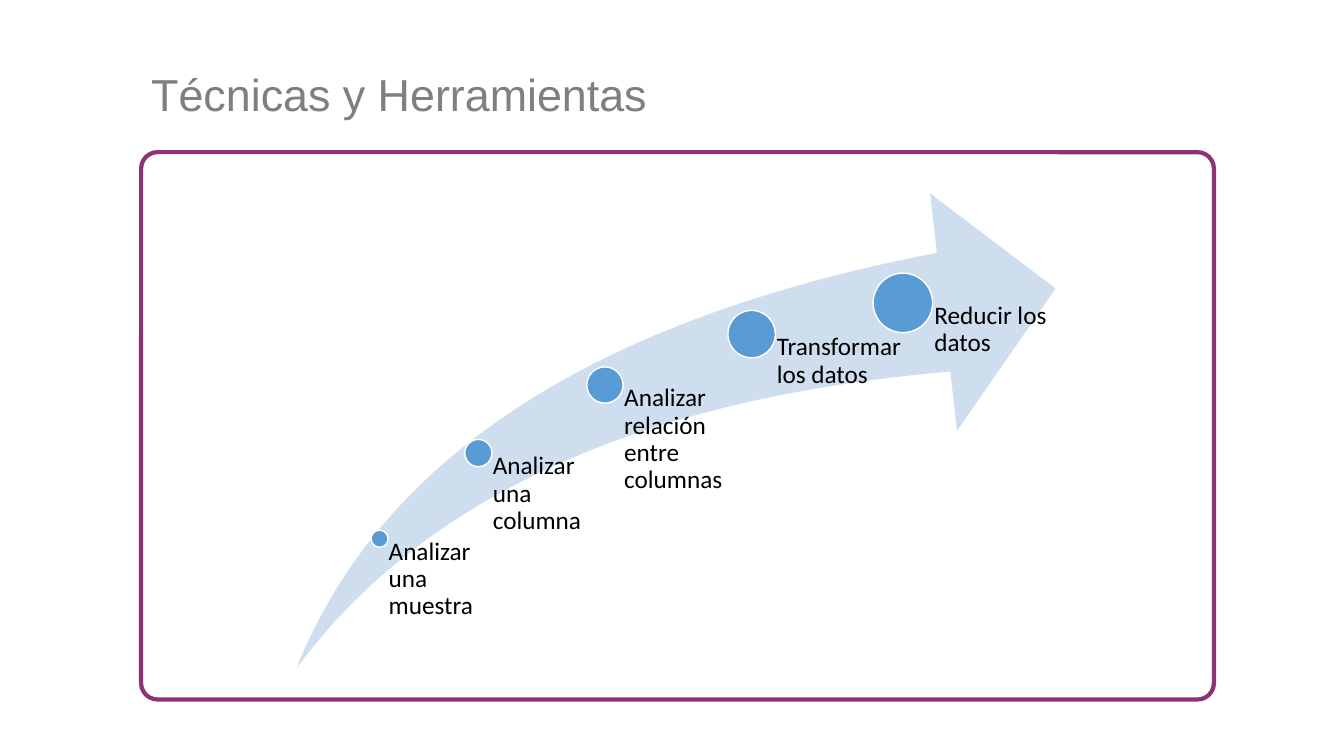
from dataclasses import dataclass

from pptx import Presentation
from pptx import util as u
from pptx.dml import color
from pptx.enum import shapes, text
from pptx.shapes import autoshape
from pptx.slide import Slide

LABEL_BOTTOM = 6.47
INSET_RATIO = 0.53


@dataclass
class Step:
    label: str
    left: float
    top: float
    diameter: float
    label_width: float


STEPS = [
    Step("Analizar una muestra", 3.68, 5.26, 0.17, 0.99),
    Step("Analizar una columna", 4.61, 4.36, 0.27, 1.25),
    Step("Analizar relación entre columnas", 5.82, 3.64, 0.36, 1.45),
    Step("Transformar los datos", 7.22, 3.08, 0.47, 1.51),
    Step("Reducir los datos", 8.66, 2.71, 0.59, 1.51),
]


def rgb(value: str) -> color.RGBColor:
    return color.RGBColor.from_string(value)


def add_filled_shape(slide: Slide, kind: shapes.MSO_SHAPE, left: float, top: float,
                     width: float, height: float, fill: str,
                     line: str = "", line_width: float = 0) -> autoshape.Shape:
    shape = slide.shapes.add_shape(
        kind, u.Inches(left), u.Inches(top), u.Inches(width), u.Inches(height))
    shape.shadow.inherit = False
    shape.fill.solid()
    shape.fill.fore_color.rgb = rgb(fill)
    if line:
        shape.line.color.rgb = rgb(line)
        shape.line.width = u.Pt(line_width)
    else:
        shape.line.fill.background()
    return shape


def add_title(slide: Slide) -> None:
    title = slide.shapes.title
    title.left, title.top = u.Inches(1.4), u.Inches(0.25)
    title.width, title.height = u.Inches(7.53), u.Inches(1.1)
    frame = title.text_frame
    frame.text = "Técnicas y Herramientas"
    frame.word_wrap = True
    frame.auto_size = text.MSO_AUTO_SIZE.NONE
    frame.vertical_anchor = text.MSO_ANCHOR.MIDDLE
    paragraph = frame.paragraphs[0]
    paragraph.alignment = text.PP_ALIGN.JUSTIFY
    paragraph.line_spacing = 1.5
    paragraph.font.name = "Arial"
    paragraph.font.size = u.Pt(32)
    paragraph.font.color.rgb = rgb("7F7F7F")


def add_step(slide: Slide, step: Step) -> None:
    add_filled_shape(slide, shapes.MSO_SHAPE.OVAL, step.left, step.top,
                     step.diameter, step.diameter, "599BD5", "FFFFFF", 1)
    radius = step.diameter / 2
    label_top = step.top + radius
    label = slide.shapes.add_textbox(
        u.Inches(step.left + radius), u.Inches(label_top),
        u.Inches(step.label_width), u.Inches(LABEL_BOTTOM - label_top))
    frame = label.text_frame
    frame.word_wrap = True
    frame.margin_left = u.Inches(step.diameter * INSET_RATIO)
    frame.margin_top = frame.margin_right = frame.margin_bottom = 0
    paragraph = frame.paragraphs[0]
    paragraph.text = step.label
    paragraph.line_spacing = 0.9
    paragraph.font.name = "Calibri"
    paragraph.font.size = u.Pt(18)
    paragraph.font.color.rgb = rgb("000000")


def main() -> None:
    presentation = Presentation()
    presentation.slide_width = u.Inches(13.33)
    presentation.slide_height = u.Inches(7.5)
    slide = presentation.slides.add_slide(presentation.slide_layouts.get_by_name("Title Only"))
    add_title(slide)
    panel = add_filled_shape(slide, shapes.MSO_SHAPE.ROUNDED_RECTANGLE,
                             1.4, 1.51, 10.64, 5.43, "FFFFFF", "8D3275", 3)
    panel.adjustments[0] = 0.03
    arrow = add_filled_shape(slide, shapes.MSO_SHAPE.SWOOSH_ARROW,
                             2.94, 1.92, 7.53, 4.71, "CFDEEF")
    arrow.adjustments[0] = 0.25
    arrow.adjustments[1] = 0.25
    for step in STEPS:
        add_step(slide, step)
    presentation.save("out.pptx")


if __name__ == "__main__":
    main()
